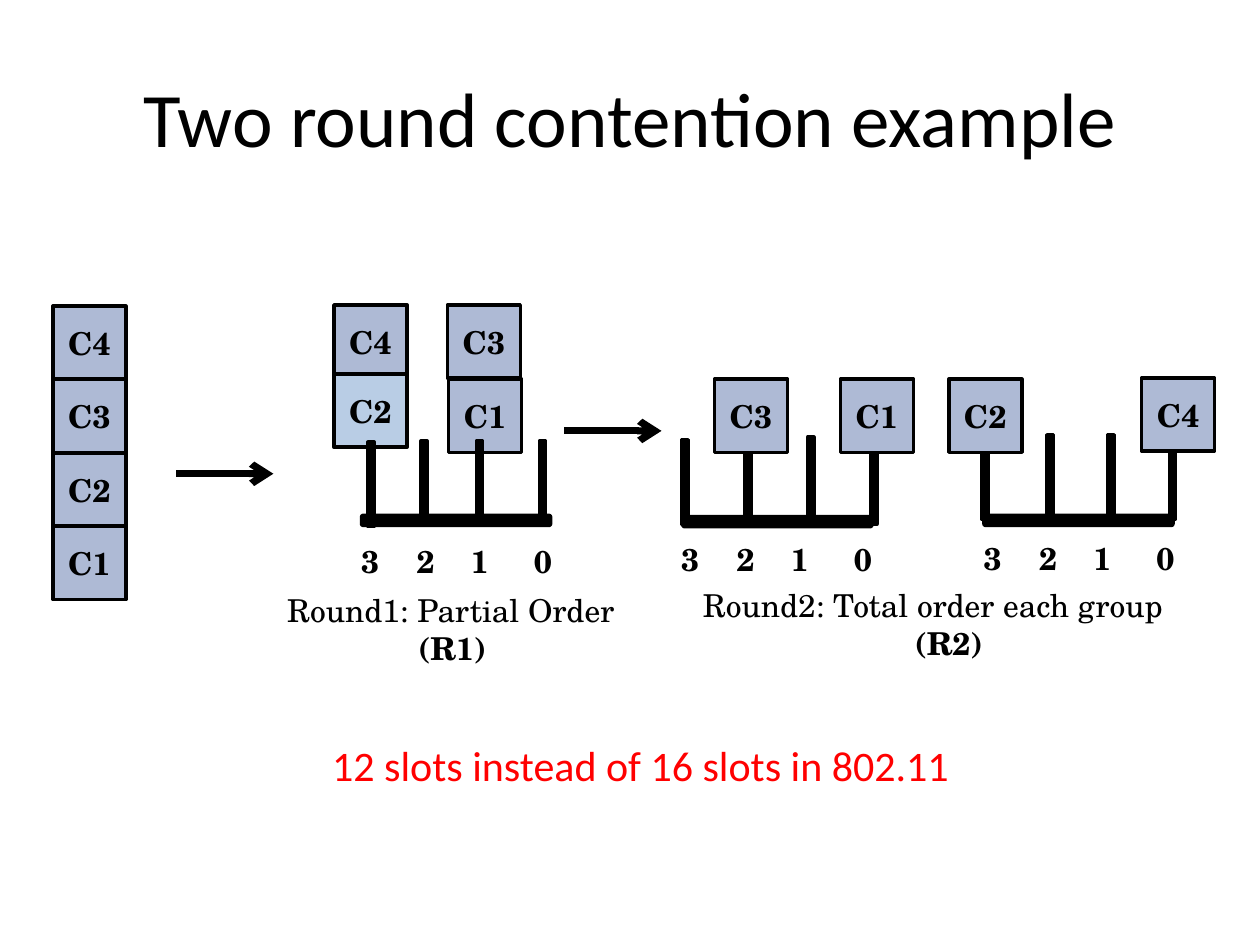
from lxml import etree
from pptx import Presentation
from pptx.dml.color import RGBColor
from pptx.enum import shapes, text
from pptx.oxml import ns
from pptx.util import Inches, Pt

BLACK = RGBColor(0x00, 0x00, 0x00)
RED = RGBColor(0xFF, 0x00, 0x00)
LAVENDER = RGBColor(0xAE, 0xBA, 0xD5)
SKY = RGBColor(0xB9, 0xCD, 0xE5)
SERIF = "TeX Gyre Schola"
SANS = "Calibri"
TILE = 0.58
RECT = shapes.MSO_SHAPE.RECTANGLE
ROUNDED = shapes.MSO_SHAPE.ROUNDED_RECTANGLE
CENTER = text.PP_ALIGN.CENTER


def add_block(parent, left, top, width, height, fill=BLACK, label="", kind=RECT):
    block = parent.shapes.add_shape(
        kind, Inches(left), Inches(top), Inches(width), Inches(height))
    block.shadow.inherit = False
    block.fill.solid()
    block.fill.fore_color.rgb = fill
    block.line.color.rgb = BLACK
    block.line.width = Pt(2)
    if label:
        frame = block.text_frame
        frame.text = label
        frame.word_wrap = False
        frame.vertical_anchor = text.MSO_ANCHOR.MIDDLE
        frame.paragraphs[0].alignment = CENTER
        font = frame.paragraphs[0].runs[0].font
        font.name, font.size, font.bold = SERIF, Pt(18), True
        font.color.rgb = BLACK


def add_text(parent, left, top, width, height, words, face=SERIF, size=18, color=BLACK):
    box = parent.shapes.add_textbox(
        Inches(left), Inches(top), Inches(width), Inches(height))
    frame = box.text_frame
    frame.word_wrap = True
    frame.text = words
    for para in frame.paragraphs:
        para.alignment = CENTER
        for span in para.runs:
            span.font.name, span.font.size = face, Pt(size)
            span.font.color.rgb = color
    return frame


deck = Presentation()
deck.slide_width, deck.slide_height = Inches(10), Inches(7.5)
page = deck.slides.add_slide(deck.slide_layouts[5])

# Title
title = page.shapes.title
title.left, title.top = Inches(0.5), Inches(0.3)
title.width, title.height = Inches(9), Inches(1.25)
title.text_frame.text = "Two round contention example"
title.text_frame.vertical_anchor = text.MSO_ANCHOR.MIDDLE
title_para = title.text_frame.paragraphs[0]
title_para.alignment = CENTER
title_font = title_para.runs[0].font
title_font.name, title_font.size = SANS, Pt(44)
title_font.color.rgb = BLACK

# Starting queue of contenders
for row, label in enumerate(["C4", "C3", "C2", "C1"]):
    add_block(page, 0.42, 2.43 + row * 0.583, TILE, TILE, LAVENDER, label)

round1 = page.shapes.add_group_shape()
round2 = page.shapes.add_group_shape()

# Arrows between the stages
for parent, left, top in [(page, 1.4, 3.76), (round2, 4.48, 3.42)]:
    arrow = parent.shapes.add_connector(
        shapes.MSO_CONNECTOR.STRAIGHT,
        Inches(left), Inches(top), Inches(left + 0.77), Inches(top))
    arrow.line.color.rgb = BLACK
    arrow.line.width = Pt(4)
    head = etree.SubElement(arrow.line._get_or_add_ln(), ns.qn("a:tailEnd"))
    head.set("type", "arrow")
    etree.SubElement(arrow._element.spPr, ns.qn("a:effectLst"))

# Round 1 tiles, which stand behind the slot stems
for label, left, top, fill in [
        ("C4", 2.65, 2.42, LAVENDER), ("C1", 3.56, 3.01, LAVENDER),
        ("C2", 2.65, 2.97, SKY), ("C3", 3.55, 2.42, LAVENDER)]:
    add_block(round1, left, top, TILE, TILE, fill, label)

# Slot stems, as (left, top)
stems = [
    (round1, [(2.92, 3.51), (3.34, 3.5), (3.78, 3.5), (4.28, 3.5)]),
    (round2, [(5.41, 3.49), (5.91, 3.49), (6.41, 3.47), (6.91, 3.49)]),
    (round2, [(left, 3.45) for left in (7.79, 8.31, 8.79, 9.28)]),
]
for parent, places in stems:
    for left, top in places:
        add_block(parent, left, top, 0.05, 0.67)

# Round 2 tiles, which stand in front of the stems
for label, left, top in [("C3", 5.67, 3.01), ("C1", 6.67, 3.01),
                         ("C2", 7.53, 3.01), ("C4", 9.06, 3)]:
    add_block(round2, left, top, TILE, TILE, LAVENDER, label)

# Base bars and slot numbers, the numbers centred on tab stops
for parent, bar_left, bar_top, left, top in [
        (round1, 2.87, 4.09, 2.64, 4.25),
        (round2, 5.42, 4.1, 5.18, 4.24),
        (round2, 7.81, 4.09, 7.58, 4.23)]:
    add_block(parent, bar_left, bar_top, 1.5, 0.08, kind=ROUNDED)
    para = add_text(parent, left, top, 1.85, 0.4, "\t3\t2\t1\t0").paragraphs[0]
    para.alignment = text.PP_ALIGN.LEFT
    para.runs[0].font.bold = True
    tabs = etree.SubElement(para._p.get_or_add_pPr(), ns.qn("a:tabLst"))
    for stop in (0.2, 0.64, 1.07, 1.57):
        etree.SubElement(tabs, ns.qn("a:tab"), pos=str(Inches(stop)), algn="ctr")

# Captions, with the round name in bold
for parent, left, top, width, words in [
        (round1, 2.18, 4.64, 2.82, "Round1: Partial Order\n(R1)"),
        (round2, 5.48, 4.6, 4.1, "Round2: Total order each group\n(R2)")]:
    caption = add_text(parent, left, top, width, 0.71, words)
    caption.paragraphs[0].alignment = text.PP_ALIGN.LEFT
    caption.paragraphs[1].runs[0].font.bold = True

# Conclusion
add_text(page, 2.52, 5.82, 5.13, 0.5, "12 slots instead of 16 slots in 802.11",
         SANS, 24, RED)

deck.save("out.pptx")
